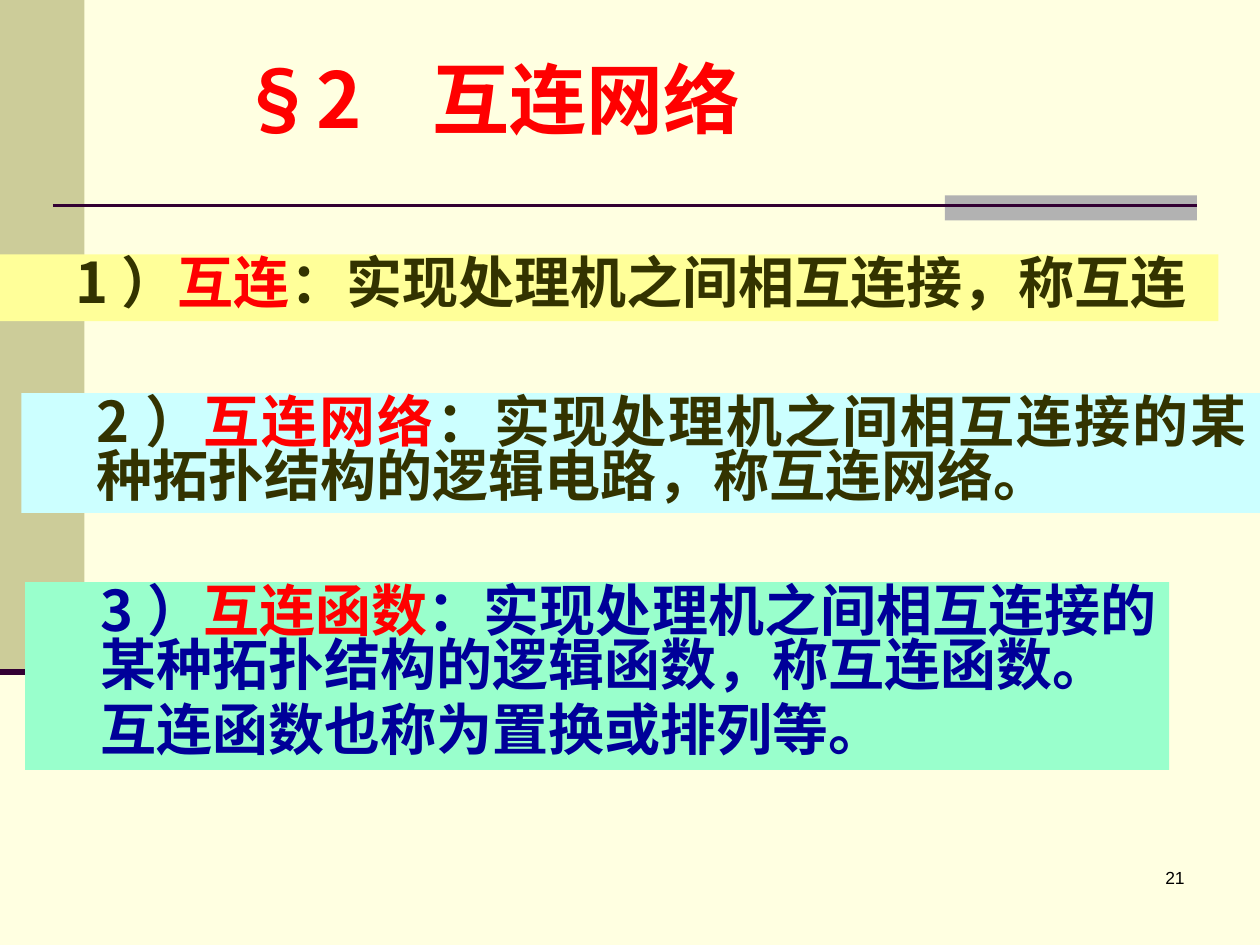
from dataclasses import dataclass

import pptx
import pptx.dml.color
import pptx.enum.shapes
import pptx.enum.text
import pptx.oxml.ns
import pptx.util
from lxml import etree
from pptx.util import Inches

ALIGN = pptx.enum.text.PP_ALIGN
HAN_FONT = "Noto Sans CJK SC"
RED, OLIVE, NAVY, PLUM = "FF0000", "333300", "000099", "330033"


@dataclass
class Span:
    text: str
    color: str
    spacing: int = 0  # extra letter spacing in points


@dataclass
class Definition:
    left: float
    top: float
    width: float
    height: float
    fill: str
    paras: list[list[Span]]


DEFINITIONS = [
    Definition(0, 2.02, 9.67, 0.53, "FFFF99", [[
        Span("1）", OLIVE), Span("互连", RED),
        Span("：实现处理机之间相互连接，称互连", OLIVE)]]),
    Definition(0.17, 3.12, 9.83, 0.95, "CCFFFF", [[
        Span("2）", OLIVE), Span("互连网络", RED),
        Span("：实现处理机之间相互连接的某种拓扑结构的逻辑电路，称互连网络。", OLIVE)]]),
    Definition(0.2, 4.62, 9.08, 1.49, "99FFCC", [
        [Span("3）", NAVY), Span("互连函数", RED),
         Span("：实现处理机之间相互连接的某种拓扑结构的逻辑函数，称互连函数。", NAVY)],
        [Span("互连函数也称为置换或排列等。", NAVY)]]),
]


def rgb(value: str) -> pptx.dml.color.RGBColor:
    return pptx.dml.color.RGBColor.from_string(value)


def add_band(page, left: float, top: float, width: float, height: float, fill: str):
    band = page.shapes.add_shape(
        pptx.enum.shapes.MSO_SHAPE.RECTANGLE,
        Inches(left), Inches(top), Inches(width), Inches(height))
    band.shadow.inherit = False
    band.fill.solid()
    band.fill.fore_color.rgb = rgb(fill)
    band.line.fill.background()
    return band


def add_rule(page, left: float, right: float, top: float, weight: float) -> None:
    rule = page.shapes.add_connector(
        pptx.enum.shapes.MSO_CONNECTOR.STRAIGHT,
        Inches(left), Inches(top), Inches(right), Inches(top))
    rule.line.color.rgb = rgb(PLUM)
    rule.line.width = pptx.util.Pt(weight)
    etree.SubElement(rule._element.spPr, pptx.oxml.ns.qn("a:effectLst"))


def add_box(page, left: float, top: float, width: float, height: float):
    return page.shapes.add_textbox(
        Inches(left), Inches(top), Inches(width), Inches(height))


def write(box, paras: list[list[Span]], *, size: float, align, font: str = HAN_FONT,
          bold: bool = True, indent: float = 0, line_spacing: float = 1) -> None:
    frame = box.text_frame
    frame.word_wrap = True
    frame.vertical_anchor = pptx.enum.text.MSO_ANCHOR.TOP
    for index, spans in enumerate(paras):
        para = frame.add_paragraph() if index else frame.paragraphs[0]
        para.alignment = align
        para.line_spacing = line_spacing
        para.space_before = pptx.util.Pt(size * 0.2)
        if indent:
            properties = para._p.get_or_add_pPr()
            properties.set("marL", str(Inches(indent)))
            properties.set("indent", "0")
        for span in spans:
            run = para.add_run()
            run.text = span.text
            run.font.name = font
            run.font.size = pptx.util.Pt(size)
            run.font.bold = bold
            run.font.color.rgb = rgb(span.color)
            run_properties = run._r.get_or_add_rPr()
            east_asian = etree.SubElement(run_properties, pptx.oxml.ns.qn("a:ea"))
            east_asian.set("typeface", font)
            if span.spacing:
                run_properties.set("spc", str(span.spacing * 100))


deck = pptx.Presentation()
deck.slide_width, deck.slide_height = Inches(10), Inches(7.5)
page = deck.slides.add_slide(deck.slide_layouts[6])
page.background.fill.solid()
page.background.fill.fore_color.rgb = rgb("FFFFE1")

# Side band, accent block and rules
add_band(page, 0, 0, 0.67, 5.33, "CCCC99")
add_band(page, 7.5, 1.55, 2, 0.2, "B2B2B2")
add_rule(page, 0.42, 9.5, 1.63, 1.5)
add_rule(page, 0, 0.67, 5.33, 3.5)

# Page number and title
write(add_box(page, 7.42, 6.83, 2.08, 0.5), [[Span("21", "000000")]],
      size=10, align=ALIGN.RIGHT, font="Arial", bold=False)
write(add_box(page, 0.5, 0.36, 6.78, 1.08),
      [[Span("§2", RED), Span(" ", RED, spacing=20), Span("互连网络", RED)]],
      size=44, align=ALIGN.CENTER)

# Definitions
for item in DEFINITIONS:
    band = add_band(page, item.left, item.top, item.width, item.height, item.fill)
    write(band, item.paras, size=32, align=ALIGN.JUSTIFY, indent=0.5, line_spacing=0.8)
    band.text_frame.auto_size = pptx.enum.text.MSO_AUTO_SIZE.SHAPE_TO_FIT_TEXT

deck.save("out.pptx")
